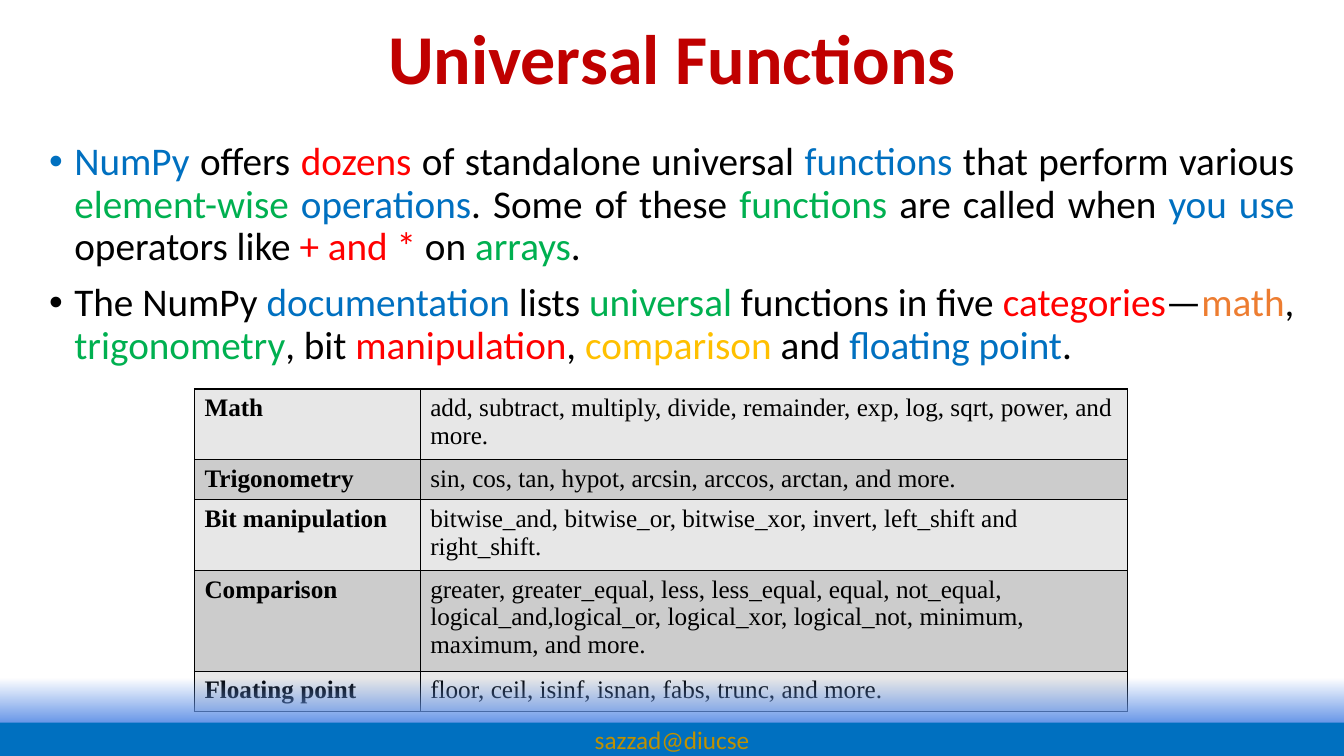
from lxml.etree import SubElement
from pptx import Presentation
from pptx.dml.color import RGBColor
from pptx.enum.shapes import MSO_SHAPE as Shape
from pptx.enum.text import MSO_ANCHOR as Anchor, PP_ALIGN as Align
from pptx.oxml.ns import qn
from pptx.util import Cm, Pt

BLACK, BLUE, RED, GREEN = "000000", "0070C0", "FF0000", "00B050"
ORANGE, YELLOW = "ED7D31", "FFC000"
TITLE = "Universal Functions"
FOOTER = "sazzad@diucse"
BULLETS = [
    [("NumPy", BLUE), (" offers ", BLACK), ("dozens ", RED),
     ("of standalone universal ", BLACK), ("functions", BLUE),
     (" that perform various ", BLACK), ("element-wise ", GREEN),
     ("operations", BLUE), (". Some of these ", BLACK),
     ("functions", GREEN), (" are called when ", BLACK),
     ("you use ", BLUE), ("operators like ", BLACK),
     ("+ and * ", RED), ("on ", BLACK), ("arrays", GREEN), (".", BLACK)],
    [("The NumPy ", BLACK), ("documentation", BLUE), (" lists ", BLACK),
     ("universal", GREEN), (" functions in five ", BLACK),
     ("categories", RED), ("—", BLACK), ("math", ORANGE), (", ", BLACK),
     ("trigonometry", GREEN), (", bit ", BLACK), ("manipulation", RED),
     (", ", BLACK), ("comparison", YELLOW), (" and ", BLACK),
     ("floating point", BLUE), (".", BLACK)],
]
# category, functions, row height in cm
CATEGORIES = [
    ("Math", "add, subtract, multiply, divide, remainder, exp, log, sqrt, "
     "power, and more.", 1.67),
    ("Trigonometry", "sin, cos, tan, hypot, arcsin, arccos, arctan, "
     "and more.", 0.95),
    ("Bit manipulation", "bitwise_and, bitwise_or, bitwise_xor, invert, "
     "left_shift and\nright_shift.", 1.67),
    ("Comparison", "greater, greater_equal, less, less_equal, equal, "
     "not_equal, logical_and,logical_or, logical_xor, logical_not, "
     "minimum, maximum, and more.", 2.38),
    ("Floating point", "floor, ceil, isinf, isnan, fabs, trunc, "
     "and more.", 0.95),
]
COLUMN_WIDTHS = (5.69, 17.83)
BANDS = ("E7E7E7", "CCCCCC")
PAGE_WIDTH, PAGE_HEIGHT = 33.87, 19.05
BAR_HEIGHT, FADE_HEIGHT = 0.84, 1.1


def color(value):
    return RGBColor.from_string(value)


def style(font, name, size, value, bold=False):
    font.name, font.size, font.bold = name, Pt(size), bold
    font.color.rgb = color(value)


def add_bar(page, top, height):
    bar = page.shapes.add_shape(Shape.RECTANGLE, 0, Cm(top),
                                Cm(PAGE_WIDTH), Cm(height))
    bar.shadow.inherit = False
    bar.line.fill.background()
    return bar


def add_bullets(page):
    box = page.shapes.add_textbox(Cm(0.99), Cm(3.45), Cm(31.88), Cm(14.76))
    frame = box.text_frame
    frame.word_wrap = True
    for index, runs in enumerate(BULLETS):
        para = frame.add_paragraph() if index else frame.paragraphs[0]
        para.alignment = Align.JUSTIFY
        para.line_spacing, para.space_before = 0.9, Pt(10)
        for text, value in runs:
            span = para.add_run()
            span.text = text
            style(span.font, "Calibri", 28, value)
        props = para._p.get_or_add_pPr()
        props.set("marL", str(Cm(0.635)))
        props.set("indent", str(-Cm(0.635)))
        SubElement(props, qn("a:buFont"), typeface="Arial")
        SubElement(props, qn("a:buChar"), char="•")


def add_borders(cell):
    """Draw a thin black line on all four sides."""
    props = cell._tc.get_or_add_tcPr()
    for index, side in enumerate(("lnL", "lnR", "lnT", "lnB")):
        line = props.makeelement(qn("a:" + side), {"w": str(Pt(1))})
        fill = SubElement(line, qn("a:solidFill"))
        SubElement(fill, qn("a:srgbClr"), val=BLACK)
        props.insert(index, line)


def add_categories(page):
    heights = [height for *_, height in CATEGORIES]
    table = page.shapes.add_table(
        len(CATEGORIES), len(COLUMN_WIDTHS), Cm(4.9), Cm(9.8),
        Cm(sum(COLUMN_WIDTHS)), Cm(sum(heights))).table
    for column, width in zip(table.columns, COLUMN_WIDTHS):
        column.width = Cm(width)
    for index, (*texts, height) in enumerate(CATEGORIES):
        table.rows[index].height = Cm(height)
        for place, text in enumerate(texts):
            cell = table.cell(index, place)
            cell.text = text
            cell.fill.solid()
            cell.fill.fore_color.rgb = color(BANDS[index % 2])
            add_borders(cell)
            for para in cell.text_frame.paragraphs:
                style(para.font, "Times New Roman", 18, BLACK, place == 0)


def add_footer(page):
    top = PAGE_HEIGHT - BAR_HEIGHT
    fade = add_bar(page, top - FADE_HEIGHT, FADE_HEIGHT)
    fade.fill.gradient()
    fade.fill.gradient_angle = 270
    for stop, alpha in zip(fade.fill.gradient_stops, (0, 100000)):
        stop.color.rgb = color("6494E8")
        SubElement(stop._gs[0], qn("a:alpha"), val=str(alpha))
        stop.position = alpha / 100000

    bar = add_bar(page, top, BAR_HEIGHT)
    bar.fill.solid()
    bar.fill.fore_color.rgb = color(BLUE)
    frame = bar.text_frame
    frame.text = FOOTER
    frame.vertical_anchor = Anchor.MIDDLE
    para = frame.paragraphs[0]
    para.alignment = Align.CENTER
    style(para.font, "Calibri", 18, "BF9000")


def add_title(page):
    title = page.shapes.title
    title.left, title.top = Cm(4.37), Cm(0.23)
    title.width, title.height = Cm(25.15), Cm(2.39)
    title.text = TITLE
    title.text_frame.vertical_anchor = Anchor.MIDDLE
    para = title.text_frame.paragraphs[0]
    para.alignment = Align.CENTER
    style(para.font, "Calibri", 50, "C00000", True)


def main():
    deck = Presentation()
    deck.slide_width, deck.slide_height = Cm(PAGE_WIDTH), Cm(PAGE_HEIGHT)
    page = deck.slides.add_slide(deck.slide_layouts[5])
    add_title(page)
    add_bullets(page)
    add_categories(page)
    add_footer(page)
    deck.save("out.pptx")


if __name__ == "__main__":
    main()
